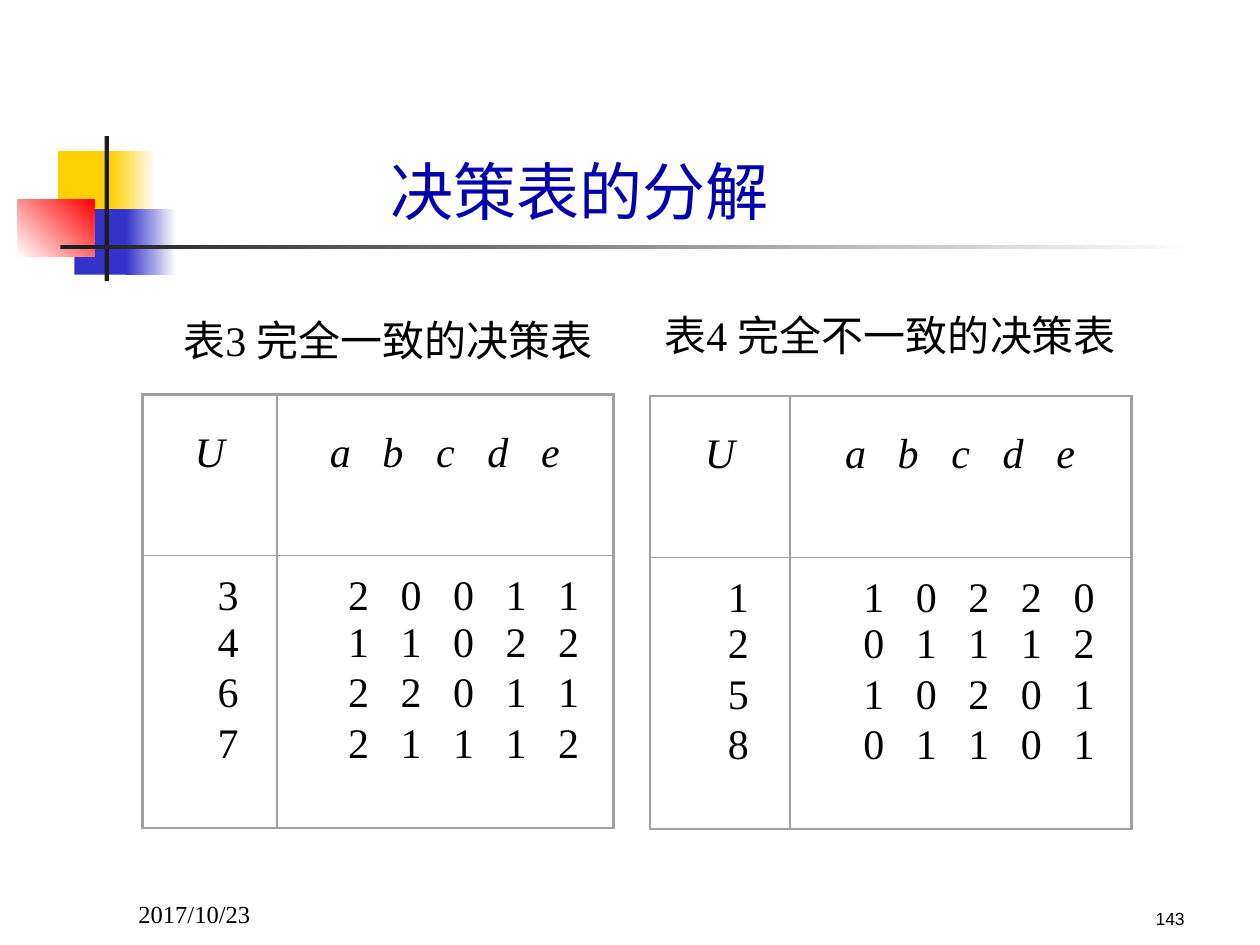
from lxml.etree import SubElement
from pptx import Presentation
from pptx.dml.color import RGBColor
from pptx.enum.shapes import MSO_SHAPE
from pptx.enum.text import MSO_ANCHOR, PP_ALIGN
from pptx.oxml.ns import qn
from pptx.util import Inches, Pt

COLOURS = {
    "yellow": "FFCF01", "blue": "3333CC", "red": "FF0000", "white": "FFFFFF",
    "dark": "1C1C1C", "border": "A0A0A0", "title": "0300AD", "text": "000000",
}
SERIF = "Times New Roman"

deck = Presentation()
deck.slide_width, deck.slide_height = Inches(10), Inches(7.5)
page = deck.slides.add_slide(deck.slide_layouts[6])


def grid(*counts):
    """Turn counts of grid units into lengths; the slide is 100 by 75 units."""
    return [round(deck.slide_width * count / 100) for count in counts]


def write(frame, text, size, font=SERIF, colour="text", align=PP_ALIGN.LEFT, italic=False):
    para = frame.paragraphs[0]
    para.alignment = align
    span = para.add_run()
    span.text = text
    span.font.size, span.font.name, span.font.italic = Pt(size), font, italic
    span.font.color.rgb = RGBColor.from_string(COLOURS[colour])


# Corner ornament: left, top, width, height, start colour, end colour, angle
ornament = [
    (4.6, 12, 4.8, 5.2, "yellow", None, 0),
    (8.8, 12, 3.6, 5.2, "yellow", "white", 0),
    (5.9, 16.6, 4.6, 5.2, "blue", None, 0),
    (10, 16.6, 4, 5.2, "blue", "white", 0),
    (1.4, 15.8, 6.1, 4.6, "white", "red", 45),
    (8.3, 10.8, 0.35, 11.5, "dark", None, 0),
    (4.8, 19.45, 90, 0.35, "dark", "white", 0),
]
for left, top, width, height, start, end, angle in ornament:
    block = page.shapes.add_shape(MSO_SHAPE.RECTANGLE, *grid(left, top, width, height))
    block.shadow.inherit = False
    block.line.fill.background()
    if end:
        block.fill.gradient()
        block.fill.gradient_angle = angle
        for stop, position, name in zip(block.fill.gradient_stops, (0, 1), (start, end)):
            stop.position = position
            stop.color.rgb = RGBColor.from_string(COLOURS[name])
    else:
        block.fill.solid()
        block.fill.fore_color.rgb = RGBColor.from_string(COLOURS[start])

# Title, captions and footer
labels = [
    ((30, 11.6, 32.3, 7.1), "决策表的分解", 36, "Lato", "title", PP_ALIGN.LEFT, MSO_ANCHOR.TOP),
    ((10.8, 24.5, 40, 5), "表3 完全一致的决策表", 24, SERIF, "text", PP_ALIGN.CENTER, MSO_ANCHOR.TOP),
    ((49.4, 24.1, 42.5, 5), "表4 完全不一致的决策表", 24, SERIF, "text", PP_ALIGN.CENTER, MSO_ANCHOR.TOP),
    ((10, 69.2, 20.8, 5), "2017/10/23", 14, SERIF, "text", PP_ALIGN.LEFT, MSO_ANCHOR.BOTTOM),
    ((74.2, 69.2, 20.8, 5), "143", 10, "Arial", "text", PP_ALIGN.RIGHT, MSO_ANCHOR.BOTTOM),
]
for place, text, size, font, colour, align, anchor in labels:
    box = page.shapes.add_textbox(*grid(*place))
    box.text_frame.word_wrap = colour != "title"
    box.text_frame.vertical_anchor = anchor
    write(box.text_frame, text, size, font, colour, align)

# Decision tables: left, top, width of column U, width of columns a to e, data rows
decision_tables = [
    (11.3, 31.3, 10.7, 26.7, ["320011", "411022", "622011", "721112"]),
    (51.6, 31.4, 11.1, 27.1, ["110220", "201112", "510201", "801101"]),
]
PITCH = 4.17    # between neighbouring attribute columns
SHIFT = 1.45    # values sit this far right of their heading
ROW_HEIGHTS = [12.8, 5.1, 4, 4, 8.5]
HEAD_DROP = 2.8

for left, top, first_width, rest_width, data in decision_tables:
    spare = (rest_width - 5 * PITCH) / 2
    lead, tail = spare + SHIFT / 2, spare - SHIFT / 2
    widths = [first_width, lead + PITCH, PITCH, PITCH, PITCH, PITCH + tail]
    rows = ["Uabcde"] + data
    last_row, last_column = len(rows) - 1, len(widths) - 1
    table = page.shapes.add_table(
        len(rows), len(widths), *grid(left, top, sum(widths), sum(ROW_HEIGHTS))).table
    table.first_row = table.horz_banding = False
    for column, width in zip(table.columns, grid(*widths)):
        column.width = width
    for row, height in zip(table.rows, grid(*ROW_HEIGHTS)):
        row.height = height

    for r, values in enumerate(rows):
        for c, value in enumerate(values):
            cell = table.cell(r, c)
            heading = r == 0
            before = lead if c == 1 else 0
            after = tail if c == last_column else 0
            if c == 0:
                before += 0 if heading else 2 * SHIFT
            elif heading:
                after += SHIFT
            else:
                before += SHIFT
            cell.margin_left, cell.margin_right, cell.margin_top, cell.margin_bottom = grid(
                before, after, HEAD_DROP if heading else 0, 0)
            cell.vertical_anchor = MSO_ANCHOR.BOTTOM if r == 1 else MSO_ANCHOR.TOP
            write(cell.text_frame, value, 24, align=PP_ALIGN.CENTER, italic=heading)

            # Border widths in points; zero hides the line
            borders = {
                "a:lnL": 1.5 if c == 0 else 1 if c == 1 else 0,
                "a:lnR": 1.5 if c == last_column else 1 if c == 0 else 0,
                "a:lnT": 1.5 if r == 0 else 0.5 if r == 1 else 0,
                "a:lnB": 1.5 if r == last_row else 0.5 if r == 0 else 0,
            }
            properties = cell._tc.get_or_add_tcPr()
            for tag, weight in borders.items():
                line = SubElement(properties, qn(tag), w=str(Pt(weight)))
                if weight:
                    paint = SubElement(line, qn("a:solidFill"))
                    SubElement(paint, qn("a:srgbClr"), val=COLOURS["border"])
                else:
                    SubElement(line, qn("a:noFill"))
            cell.fill.background()

deck.save("out.pptx")
